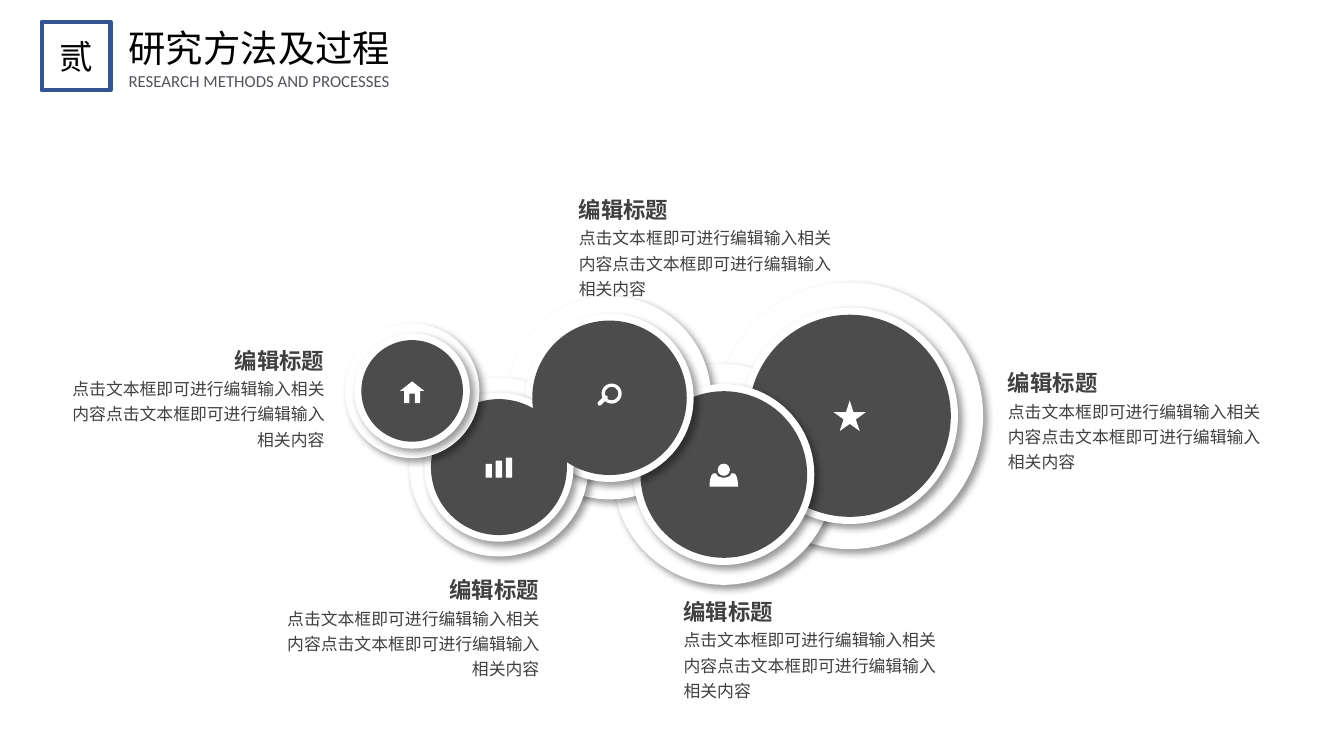
"""Build a slide of five overlapping research-step circles with captions."""
import math
from dataclasses import dataclass

import lxml.etree
import pptx
import pptx.dml.color
import pptx.enum.shapes
import pptx.enum.text
import pptx.oxml.ns
import pptx.util

Cm = pptx.util.Cm
Pt = pptx.util.Pt
qn = pptx.oxml.ns.qn
SHAPE = pptx.enum.shapes.MSO_SHAPE
ALIGN = pptx.enum.text.PP_ALIGN
AUTO = pptx.enum.text.MSO_AUTO_SIZE


@dataclass(frozen=True)
class Theme:
    white: str = "FFFFFF"
    disc: str = "4C4C4C"
    caption: str = "404040"
    heading: str = "000000"
    subtitle: str = "54525C"
    badge: str = "325491"
    shadow: str = "000000"
    cjk: str = "Noto Sans CJK SC"
    latin: str = "Calibri"
    heading_size: int = 20
    badge_size: int = 18
    caption_title_size: int = 12
    small_size: int = 9


THEME = Theme()

STEPS = {
    "home": {"center": (7.79, 7.39), "halo": 2.54, "ring": 2.18, "disc": 1.92},
    "chart": {"center": (9.43, 8.83), "halo": 3.38, "ring": 2.82, "disc": 2.57},
    "search": {"center": (11.52, 7.52), "halo": 3.84, "ring": 3.18, "disc": 2.92},
    "person": {"center": (13.68, 8.97), "halo": 4.17, "ring": 3.42, "disc": 3.15},
    "star": {"center": (16.06, 7.86), "halo": 5.04, "ring": 4.09, "disc": 3.82},
}

STACKING = [
    ("star", ["halo"]), ("person", ["halo"]), ("search", ["halo"]), ("chart", ["halo"]),
    ("star", ["ring", "disc"]), ("person", ["ring", "disc"]), ("search", ["ring"]),
    ("chart", ["ring", "disc"]), ("home", ["halo", "ring", "disc"]), ("search", ["disc"]),
]

CAPTION_TITLE = "编辑标题"
CAPTION_BODY = "点击文本框即可进行编辑输入相关内容" * 2
CAPTIONS = [
    (18.8, 6.86, ALIGN.LEFT),
    (12.67, 11.18, ALIGN.LEFT),
    (10.69, 3.58, ALIGN.LEFT),
    (10.44, 10.77, ALIGN.RIGHT),
    (6.38, 6.43, ALIGN.RIGHT),
]


def rgb(value):
    return pptx.dml.color.RGBColor.from_string(value)


def paint(shape, color):
    shape.shadow.inherit = False
    shape.fill.solid()
    shape.fill.fore_color.rgb = rgb(color)
    shape.line.fill.background()


def add_centered(slide, preset, center, width, height, color):
    x, y = center
    shape = slide.shapes.add_shape(
        preset, Cm(x - width / 2), Cm(y - height / 2), Cm(width), Cm(height))
    paint(shape, color)
    return shape


def cast_shadow(shape):
    effects = shape._element.spPr.find(qn("a:effectLst"))
    outer = lxml.etree.SubElement(
        effects, qn("a:outerShdw"), blurRad=str(Pt(4)), dist=str(Pt(3)),
        dir=str(45 * 60000), algn="tl", rotWithShape="0")
    color = lxml.etree.SubElement(outer, qn("a:srgbClr"), val=THEME.shadow)
    lxml.etree.SubElement(color, qn("a:alpha"), val="40000")


def add_outline(slide, center, offsets):
    x, y = center
    points = [(Cm(x + dx), Cm(y + dy)) for dx, dy in offsets]
    builder = slide.shapes.build_freeform(*points[0], scale=1.0)
    builder.add_line_segments(points[1:], close=True)
    paint(builder.convert_to_shape(), THEME.white)


def style_text(frame, text, size, color, font=THEME.cjk, bold=False,
               align=ALIGN.LEFT, spacing=None):
    paragraph = frame.paragraphs[0]
    paragraph.text = text
    paragraph.alignment = align
    if spacing:
        paragraph.line_spacing = spacing
    paragraph.font.name = font
    paragraph.font.size = Pt(size)
    paragraph.font.bold = bold
    paragraph.font.color.rgb = rgb(color)
    defaults = paragraph._p.pPr.find(qn("a:defRPr"))
    lxml.etree.SubElement(defaults, qn("a:ea"), typeface=font)


def add_text(slide, left, top, width, height, text, size, color, wrap=True, **style):
    frame = slide.shapes.add_textbox(Cm(left), Cm(top), Cm(width), Cm(height)).text_frame
    frame.word_wrap = wrap
    frame.auto_size = AUTO.SHAPE_TO_FIT_TEXT
    style_text(frame, text, size, color, **style)


def add_layer(slide, step, layer):
    size = step[layer]
    color = THEME.disc if layer == "disc" else THEME.white
    circle = add_centered(slide, SHAPE.OVAL, step["center"], size, size, color)
    if layer != "disc":
        cast_shadow(circle)


def add_home_icon(slide, center):
    right = [(0.23, 0), (0.15, 0), (0.15, 0.23), (0.05, 0.23), (0.05, 0.05)]
    left = [(-x, y) for x, y in reversed(right)]
    add_outline(slide, center, [(0, -0.18)] + right + left)


def add_chart_icon(slide, center):
    x, y = center
    for index, height in enumerate((0.26, 0.32, 0.38)):
        middle = (x + 0.19 * (index - 1), y + 0.2 - height / 2)
        add_centered(slide, SHAPE.RECTANGLE, middle, 0.12, height, THEME.white)


def add_search_icon(slide, center):
    x, y = center
    lens = add_centered(slide, SHAPE.DONUT, (x + 0.04, y - 0.08), 0.38, 0.38, THEME.white)
    lens.adjustments[0] = 0.16
    handle = add_centered(
        slide, SHAPE.ROUNDED_RECTANGLE, (x - 0.13, y + 0.05), 0.24, 0.08, THEME.white)
    handle.adjustments[0] = 0.5
    handle.rotation = -45


def add_person_icon(slide, center):
    x, y = center
    add_centered(slide, SHAPE.OVAL, (x, y - 0.09), 0.23, 0.23, THEME.white)
    angles = [math.radians(degrees) for degrees in range(0, 91, 10)]
    neck = [(0.14 * math.sin(a), -0.02 + 0.08 * math.cos(a)) for a in angles]
    shoulder = [(0.19 + 0.08 * math.sin(a), 0.23 - 0.25 * math.cos(a)) for a in angles]
    right = neck + shoulder
    left = [(-dx, dy) for dx, dy in reversed(right)]
    add_outline(slide, center, right + left)


def add_star_icon(slide, center):
    add_centered(slide, SHAPE.STAR_5_POINT, center, 0.61, 0.58, THEME.white)


def add_caption(slide, edge, top, align):
    for text, width, height, drop, size, bold, spacing in (
            (CAPTION_BODY, 5.41, 1.7, 0.51, THEME.small_size, False, 1.25),
            (CAPTION_TITLE, 2.79, 0.76, 0, THEME.caption_title_size, True, None)):
        left = edge - width if align == ALIGN.RIGHT else edge
        add_text(slide, left, top + drop, width, height, text, size, THEME.caption,
                 bold=bold, align=align, spacing=spacing)


def add_header(slide):
    add_text(slide, 2.18, 0.36, 7.42, 1.12, "研究方法及过程",
             THEME.heading_size, THEME.heading)
    add_text(slide, 2.18, 1.22, 5.46, 0.64, "RESEARCH METHODS AND PROCESSES",
             THEME.small_size, THEME.subtitle, wrap=False, font=THEME.latin)
    badge = slide.shapes.add_shape(SHAPE.RECTANGLE, Cm(0.79), Cm(0.41), Cm(1.3), Cm(1.3))
    badge.shadow.inherit = False
    badge.fill.background()
    badge.line.color.rgb = rgb(THEME.badge)
    badge.line.width = Pt(2.25)
    badge.text_frame.vertical_anchor = pptx.enum.text.MSO_ANCHOR.MIDDLE
    style_text(badge.text_frame, "贰", THEME.badge_size, THEME.heading, align=ALIGN.CENTER)


def main():
    deck = pptx.Presentation()
    deck.slide_width, deck.slide_height = Cm(25.4), Cm(14.29)
    slide = deck.slides.add_slide(deck.slide_layouts[6])
    for name, layers in STACKING:
        for layer in layers:
            add_layer(slide, STEPS[name], layer)
    icons = {"home": add_home_icon, "chart": add_chart_icon, "search": add_search_icon,
             "person": add_person_icon, "star": add_star_icon}
    for name, add_icon in icons.items():
        add_icon(slide, STEPS[name]["center"])
    for caption in CAPTIONS:
        add_caption(slide, *caption)
    add_header(slide)
    deck.save("out.pptx")


if __name__ == "__main__":
    main()
